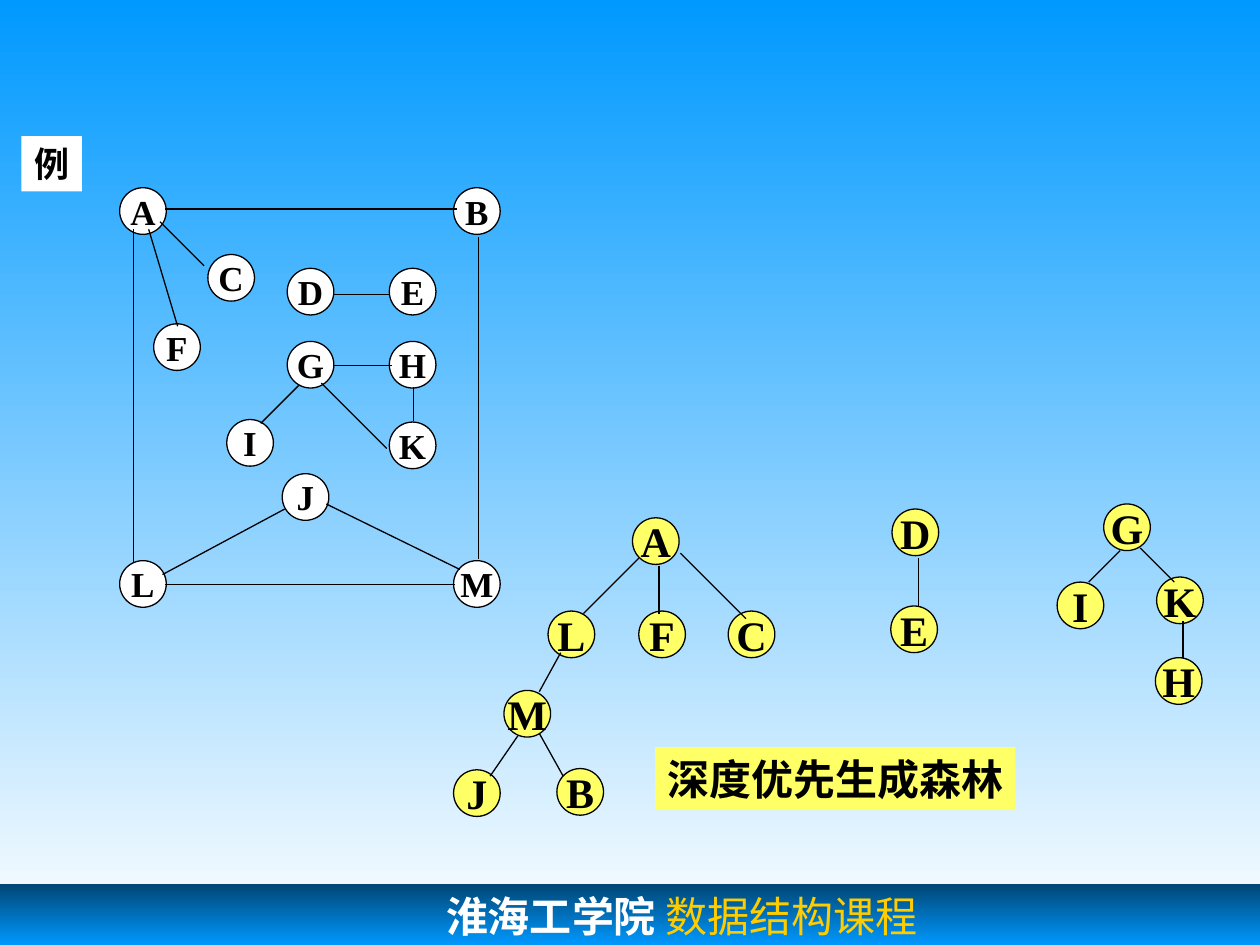
import copy

import pptx
import pptx.dml.color
import pptx.enum.shapes
import pptx.enum.text
import pptx.oxml.ns
import pptx.util

SHAPE = pptx.enum.shapes.MSO_SHAPE
ANCHOR = pptx.enum.text.MSO_ANCHOR
ALIGN = pptx.enum.text.PP_ALIGN
qn = pptx.oxml.ns.qn

COLUMNS, ROWS = 100, 75
NODE = 3.7  # node diameter in grid units

GRAPH_NODES = {
    "A": (9.5, 14.9), "B": (36, 14.9), "L": (9.5, 44.5), "M": (36, 44.5),
    "C": (16.5, 20.2), "F": (12.2, 25.7), "D": (22.8, 21.3), "E": (30.9, 21.3),
    "G": (22.8, 27.1), "H": (30.9, 27.1), "K": (30.9, 33.5), "I": (18, 33.3),
    "J": (22.4, 37.6),
}
GRAPH_EDGES = {
    "DE": (26.4, 23.4, 30.9, 23.4), "GH": (26.4, 29, 31.1, 29),
    "HK": (32.8, 30.7, 32.8, 33.4), "GK": (25.5, 30.4, 30.7, 35.6),
    "GI": (23.7, 30.6, 20.7, 33.6), "AC": (12.7, 17.6, 16.2, 21.1),
    "AF": (11.8, 18.2, 14.1, 25.9), "AB": (13.1, 16.6, 36.3, 16.6),
    "AL": (10.6, 18.2, 10.6, 44.6), "LM": (13.1, 46.4, 36.1, 46.4),
    "BM": (38, 18.8, 38, 44.4), "LJ": (12.9, 45.6, 22.6, 40.4),
    "JM": (25.9, 40, 36.5, 45.2),
}
FOREST_NODES = {
    "A": (50.2, 41.1), "B": (44.2, 61), "L": (43.5, 48.5), "M": (40, 54.8),
    "F": (50.7, 48.5), "C": (57.8, 48.5), "J": (36, 61.1),
    "D": (70.8, 40.4), "E": (70.7, 48.1),
    "G": (87.6, 40), "H": (91.7, 52.2), "K": (91.8, 45.8), "I": (83.9, 46.2),
}
FOREST_EDGES = {
    "AF": (52.3, 44.9, 52.3, 48.7), "AL": (50.7, 44.3, 46.3, 48.7),
    "AC": (54, 43.9, 59.2, 49.1), "LM": (44.5, 51.8, 42.8, 54.9),
    "MJ": (41.1, 58.4, 38.9, 61.6), "MB": (42.8, 58.2, 44.7, 61.6),
    "DE": (72.9, 44.3, 72.9, 48.1), "GI": (88.9, 43.7, 86.4, 46.2),
    "KH": (93.9, 49.3, 93.9, 52.2), "GK": (90.5, 43.5, 93.2, 46.2),
}


def rgb(color):
    return pptx.dml.color.RGBColor.from_string(color)


def set_all(obj, values):
    for name, value in values.items():
        setattr(obj, name, value)


def shade(fill, element, colors):
    """Fill from top to bottom with evenly spaced colours."""
    fill.gradient()
    fill.gradient_angle = 270
    stops = next(element.iter(qn("a:gsLst")))
    while len(stops) < len(colors):
        stops.append(copy.deepcopy(stops[0]))
    for i, (stop, color) in enumerate(zip(fill.gradient_stops, colors)):
        stop.position = i / (len(colors) - 1)
        stop.color.rgb = rgb(color)


class Deck:
    font = "Times New Roman"
    ink = "000000"
    line_width = 0.75

    def __init__(self):
        self.prs = pptx.Presentation()
        self.prs.slide_width = pptx.util.Inches(10)
        self.prs.slide_height = pptx.util.Inches(7.5)
        self.s = self.prs.slides.add_slide(self.prs.slide_layouts[6])
        self.shapes = self.s.shapes

    def x(self, column):
        return round(self.prs.slide_width * column / COLUMNS)

    def y(self, row):
        return round(self.prs.slide_height * row / ROWS)

    def background(self, colors):
        shade(self.s.background.fill, self.s.element, colors)

    def group(self):
        """Send the shapes that follow into a new group."""
        self.shapes = self.s.shapes.add_group_shape().shapes

    def shape(self, kind, left, top, width, height):
        sp = self.shapes.add_shape(kind, self.x(left), self.y(top),
                                   self.x(width), self.y(height))
        sp.shadow.inherit = False
        sp.line.fill.background()
        return sp

    def run(self, p, text, size, color=ink, font=font, bold=True):
        r = p.add_run()
        r.text = text
        set_all(r.font, {"size": pptx.util.Pt(size), "name": font, "bold": bold})
        r.font.color.rgb = rgb(color)

    def label(self, text, size, fill, box, kind=SHAPE.RECTANGLE):
        sp = self.shape(kind, *box)
        sp.fill.solid()
        sp.fill.fore_color.rgb = rgb(fill)
        set_all(sp.text_frame, {"word_wrap": False,
                                "vertical_anchor": ANCHOR.MIDDLE})
        p = sp.text_frame.paragraphs[0]
        p.alignment = ALIGN.CENTER
        self.run(p, text, size)
        return sp

    def node(self, letter, left, top, size, fill):
        sp = self.label(letter, size, fill, (left, top, NODE, NODE), SHAPE.OVAL)
        self.stroke(sp.line)

    def stroke(self, line):
        line.color.rgb = rgb(self.ink)
        line.width = pptx.util.Pt(self.line_width)

    def edge(self, x1, y1, x2, y2):
        line = self.shapes.add_connector(
            pptx.enum.shapes.MSO_CONNECTOR.STRAIGHT,
            self.x(x1), self.y(y1), self.x(x2), self.y(y2))
        self.stroke(line.line)
        line.element.spPr.add_effectLst() if hasattr(
            line.element.spPr, "add_effectLst") else line.element.spPr.append(
            pptx.oxml.parse_xml('<a:effectLst %s/>' % pptx.oxml.ns.nsdecls("a")))

    def network(self, nodes, edges, size, fill):
        for letter, (left, top) in nodes.items():
            self.node(letter, left, top, size, fill)
        for ends in edges.values():
            self.edge(*ends)

    def footer(self, colors, school, course):
        sp = self.shape(SHAPE.RECTANGLE, 0, 70.2, COLUMNS, 9.7)
        shade(sp.fill, sp.element, colors)
        set_all(sp.text_frame, {"word_wrap": True, "margin_left": self.x(35.4),
                                "vertical_anchor": ANCHOR.TOP})
        p = sp.text_frame.paragraphs[0]
        p.alignment = ALIGN.LEFT
        self.run(p, school, 24, "FFFFFF", "Courier New")
        self.run(p, " " + course, 24, "FFCC00", bold=False)


def main():
    deck = Deck()
    deck.background(["0099FF", "FFFFFF"])
    deck.footer(["004776", "0099FF", "004776"], "淮海工学院", "数据结构课程")

    deck.group()
    deck.label("例", 20, "FFFFFF", (1.7, 10.8, 4.8, 4.4))
    deck.network(GRAPH_NODES, GRAPH_EDGES, 20, "FFFFFF")

    deck.group()
    deck.network(FOREST_NODES, FOREST_EDGES, 24, "FFFF66")
    deck.label("深度优先生成森林", 24, "FFFF66", (52, 59.3, 28.6, 5))

    deck.prs.save("out.pptx")


if __name__ == "__main__":
    main()
